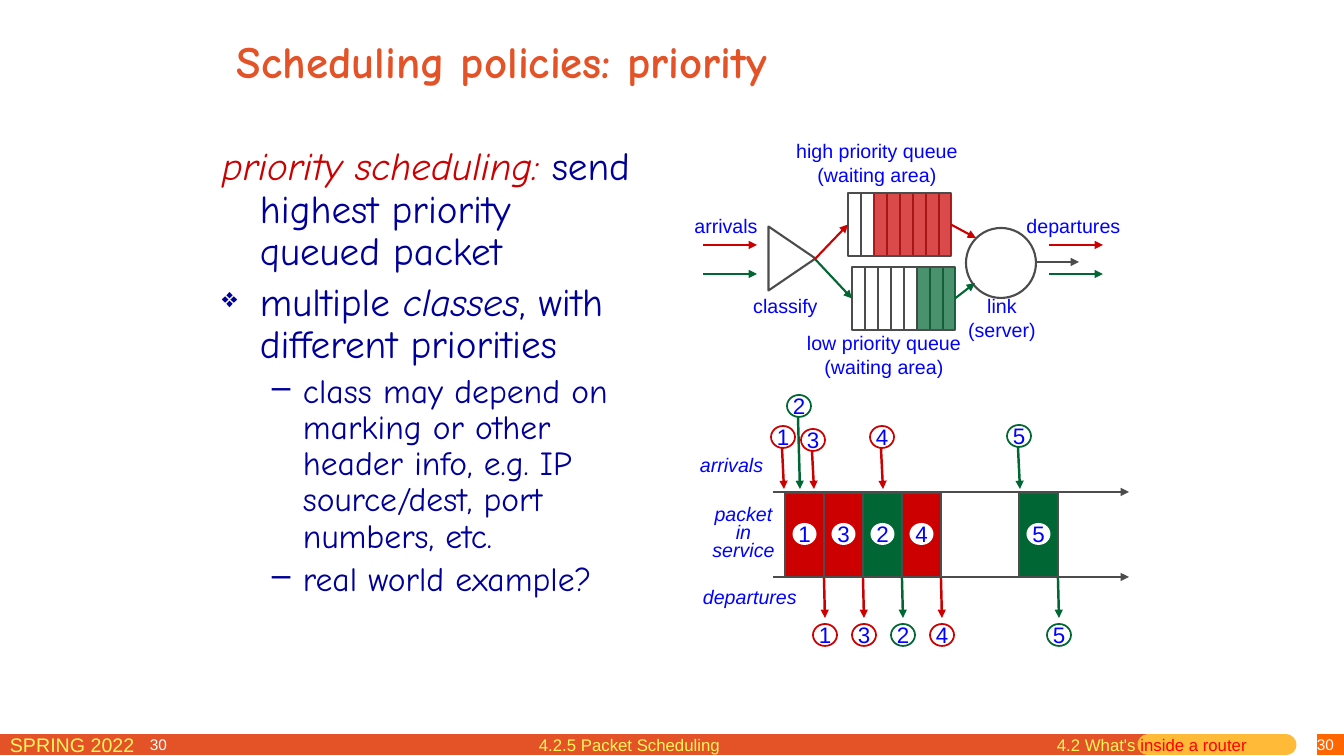
from dataclasses import dataclass

from lxml.etree import SubElement
from pptx import Presentation
from pptx.dml.color import RGBColor
from pptx.enum.shapes import MSO_CONNECTOR, MSO_SHAPE as Shape
from pptx.enum.text import MSO_ANCHOR as Anchor, PP_ALIGN as Align
from pptx.oxml.ns import qn
from pptx.util import Emu, Pt

SCALE = 12192000 / 1344


@dataclass(frozen=True)
class Theme:
    accent: str = "E45327"
    amber: str = "FFBA37"
    orange: str = "FF6600"
    yellow: str = "FFF65C"
    white: str = "FFFFFF"
    alert: str = "FF0000"
    navy: str = "000099"
    blue: str = "0000FF"
    red: str = "CC0000"
    green: str = "006633"
    gray: str = "4C4C4C"
    heading_font: str = "Comic Neue"
    label_font: str = "Arial"
    title_size: int = 32
    body_size: int = 28
    sub_size: int = 24
    number_size: int = 16
    label_size: int = 14
    footer_size: int = 12
    page_size: int = 11


THEME = Theme()


def px(length):
    return Emu(round(length * SCALE))


def rgb(color):
    return RGBColor.from_string(color)


def set_font(font, name, size, color, bold=False, italic=False):
    font.name, font.size, font.bold, font.italic = name, Pt(size), bold, italic
    font.color.rgb = rgb(color)


@dataclass
class Region:
    """Draws on a page with px lengths measured from its own top left corner."""
    page: object
    left: int
    top: int

    def shape(self, kind, left, top, width, height, fill=None, line=None, weight=1.5):
        shape = self.page.shapes.add_shape(
            kind, px(self.left + left), px(self.top + top), px(width), px(height))
        shape.shadow.inherit = False
        if fill:
            shape.fill.solid()
            shape.fill.fore_color.rgb = rgb(fill)
        else:
            shape.fill.background()
        if line:
            shape.line.color.rgb = rgb(line)
            shape.line.width = Pt(weight)
        else:
            shape.line.fill.background()
        return shape

    def line(self, start, end, color, weight=1.5, arrow=False, round_cap=False):
        line = self.page.shapes.add_connector(
            MSO_CONNECTOR.STRAIGHT, px(self.left + start[0]), px(self.top + start[1]),
            px(self.left + end[0]), px(self.top + end[1]))
        line.line.color.rgb = rgb(color)
        line.line.width = Pt(weight)
        outline = line.line._get_or_add_ln()
        if round_cap:
            outline.set("cap", "rnd")
        if arrow:
            SubElement(outline, qn("a:tailEnd"), type="triangle")
        SubElement(line._element.spPr, qn("a:effectLst"))
        return line

    def frame(self, left, top, width, height, wrap=True):
        box = self.page.shapes.add_textbox(
            px(self.left + left), px(self.top + top), px(width), px(height))
        box.text_frame.word_wrap = wrap
        return box.text_frame

    def label(self, text, left, top, width, height=34, size=THEME.label_size,
              color=THEME.blue, align=Align.LEFT, italic=False, wrap=True):
        frame = self.frame(left, top, width, height, wrap)
        frame.text = text
        for para in frame.paragraphs:
            para.alignment = align
            set_font(para.font, THEME.label_font, size, color, italic=italic)
        return frame

    def number(self, digit, center, line=None):
        """White disc holding a packet number."""
        disc = self.shape(Shape.OVAL, center[0] - 12, center[1] - 11, 24, 22,
                          THEME.white, line, 1.25)
        frame = disc.text_frame
        frame.margin_left = frame.margin_right = frame.margin_top = frame.margin_bottom = 0
        frame.vertical_anchor = Anchor.MIDDLE
        frame.word_wrap = False
        para = frame.paragraphs[0]
        para.text = str(digit)
        para.alignment = Align.CENTER
        set_font(para.font, THEME.label_font, THEME.number_size, THEME.blue)


def add_footer(region):
    for start, end, color in ((0, 1148, THEME.accent), (1148, 1286, THEME.amber),
                              (1317, 1344, THEME.orange)):
        region.line((start, 17), (end, 17), color, 15, round_cap=color != THEME.orange)
    region.label("SPRING 2022", 0, 0, 231, 31, color=THEME.yellow)
    for left, width, align in ((1084, 260, Align.RIGHT), (140, 55, Align.LEFT)):
        frame = region.label("30", left, 10, width, 18, THEME.page_size, THEME.white, align)
        frame.margin_top, frame.margin_bottom = 0, px(5)
        frame.vertical_anchor = Anchor.MIDDLE
    region.label("4.2.5 Packet Scheduling", 529, 2, 278, 31, THEME.footer_size, THEME.yellow)
    section = region.label("4.2 What's ", 1047, 2, 222, 31, THEME.footer_size, THEME.yellow)
    topic = section.paragraphs[0].add_run()
    topic.text = "inside a router"
    topic.font.color.rgb = rgb(THEME.alert)


def add_title(region, text):
    frame = region.frame(0, 0, 857, 122)
    frame.vertical_anchor = Anchor.MIDDLE
    para = frame.paragraphs[0]
    para.text = text
    set_font(para.font, THEME.heading_font, THEME.title_size, THEME.accent, bold=True)


def add_body(region):
    points = (
        (0, None, (("priority scheduling: ", True), ("send highest priority queued packet", False))),
        (0, "❖", (("multiple ", False), ("classes", True), (", with different priorities", False))),
        (1, "–", (("class may depend on marking or other header info, e.g. IP "
                   "source/dest, port numbers, etc.", False),)),
        (1, "–", (("real world example?", False),)),
    )
    frame = region.frame(0, 0, 428, 562)
    for index, (level, bullet, pieces) in enumerate(points):
        para = frame.add_paragraph() if index else frame.paragraphs[0]
        para.level = level
        para.line_spacing = 0.9
        para.space_before = Pt((6, 5)[level] if index else 0)
        properties = para._p.get_or_add_pPr()
        margin, hang = ((38, 38), (81, 31))[level]
        properties.set("marL", str(px(margin)))
        properties.set("indent", str(px(-hang)))
        if bullet:
            SubElement(properties, qn("a:buSzPct"), val="100000" if level else "70000")
            SubElement(properties, qn("a:buChar"), char=bullet)
        else:
            SubElement(properties, qn("a:buNone"))
        set_font(para.font, THEME.heading_font, (THEME.body_size, THEME.sub_size)[level], THEME.navy)
        for text, italic in pieces:
            span = para.add_run()
            span.text = text
            span.font.italic = italic
    frame.paragraphs[0].runs[0].font.color.rgb = rgb(THEME.red)


def add_queue(region, left, top, empty_slots, color):
    """Queue of eight slots, the last ones filled; returns its outline."""
    slot, width, height = 13, 103, 63
    outline = region.shape(Shape.RECTANGLE, left, top, width, height, line=THEME.gray)
    for x in range(left + slot, left + 8 * slot, slot):
        region.line((x, top), (x, top + height), THEME.gray)
    used = empty_slots * slot
    packets = region.shape(Shape.RECTANGLE, left + used, top + 1, width - used, height - 2, color)
    tint = packets._element.spPr.find(qn("a:solidFill"))[0]
    SubElement(tint, qn("a:alpha"), val="71000")
    return outline


def add_queue_diagram(region):
    flows = ((THEME.red, add_queue(region, 168, 59, 2, THEME.red), 111, (296, 104)),
             (THEME.green, add_queue(region, 172, 133, 5, THEME.green), 140, (295, 149)))
    classifier = region.shape(Shape.ISOSCELES_TRIANGLE, 80, 101, 64, 47, line=THEME.gray)
    classifier.rotation = 90
    region.shape(Shape.OVAL, 286, 94, 70, 70, line=THEME.gray)
    for color, queue, flow_y, link_point in flows:
        region.line((135, 125), (168, 125), color, arrow=True).end_connect(queue, 1)
        region.line((271, 125), link_point, color, arrow=True).begin_connect(queue, 3)
        for x in (23, 369):
            region.line((x, flow_y), (x + 54, flow_y), color, arrow=True)
    region.line((356, 128), (399, 128), THEME.gray, arrow=True)
    for text, left, top, width in (
            ("high priority queue\n(waiting area)", 103, 0, 188),
            ("low priority queue\n(waiting area)", 116, 192, 176),
            ("arrivals", 4, 75, 84), ("classify", 62, 155, 87),
            ("departures", 336, 75, 115), ("link\n(server)", 275, 155, 94)):
        height = 57 if "\n" in text else 34
        region.label(text, left, top, width, height, align=Align.CENTER, wrap=False)


def add_timeline(region):
    colors = {1: THEME.red, 2: THEME.green, 3: THEME.red, 4: THEME.red, 5: THEME.green}
    arrivals = {2: (119, 16), 1: (103, 47), 3: (133, 50), 4: (202, 47), 5: (339, 46)}
    service_slots = {1: 0, 3: 1, 2: 2, 4: 3, 5: 6}
    first, slot, top, bottom = 105, 39, 102, 187
    for y in (top, bottom):
        region.line((93, y), (449, y), THEME.gray, 2, arrow=True)
    for packet, position in service_slots.items():
        left, color = first + position * slot, colors[packet]
        region.shape(Shape.RECTANGLE, left, top + 1, slot, bottom - top - 1, color, THEME.gray, 1.25)
        region.number(packet, (left + slot / 2, 144))
        leave = left + slot
        region.line((leave, bottom + 1), (leave + 1, 228), color, 1.75, arrow=True)
        region.number(packet, (leave + 1, 245), color)
    for packet, (x, y) in arrivals.items():
        region.line((x - 1, y + 11), (x + 1, top - 3), colors[packet], 1.75, arrow=True)
        region.number(packet, (x, y), colors[packet])
    region.label("arrivals", 10, 58, 84, italic=True)
    region.label("departures", 13, 190, 116, italic=True)
    service = region.label("packet in service", 21, 113, 85, 66, align=Align.CENTER, italic=True)
    service.paragraphs[0].line_spacing = Pt(12.8)


def main():
    deck = Presentation()
    deck.slide_width, deck.slide_height = px(1344), px(756)
    page = deck.slides.add_slide(deck.slide_layouts[6])
    add_footer(Region(page, 0, 728))
    add_title(Region(page, 227, 0), "Scheduling policies: priority")
    add_body(Region(page, 212, 142))
    add_queue_diagram(Region(page, 680, 134))
    add_timeline(Region(page, 680, 390))
    deck.save("out.pptx")


if __name__ == "__main__":
    main()
